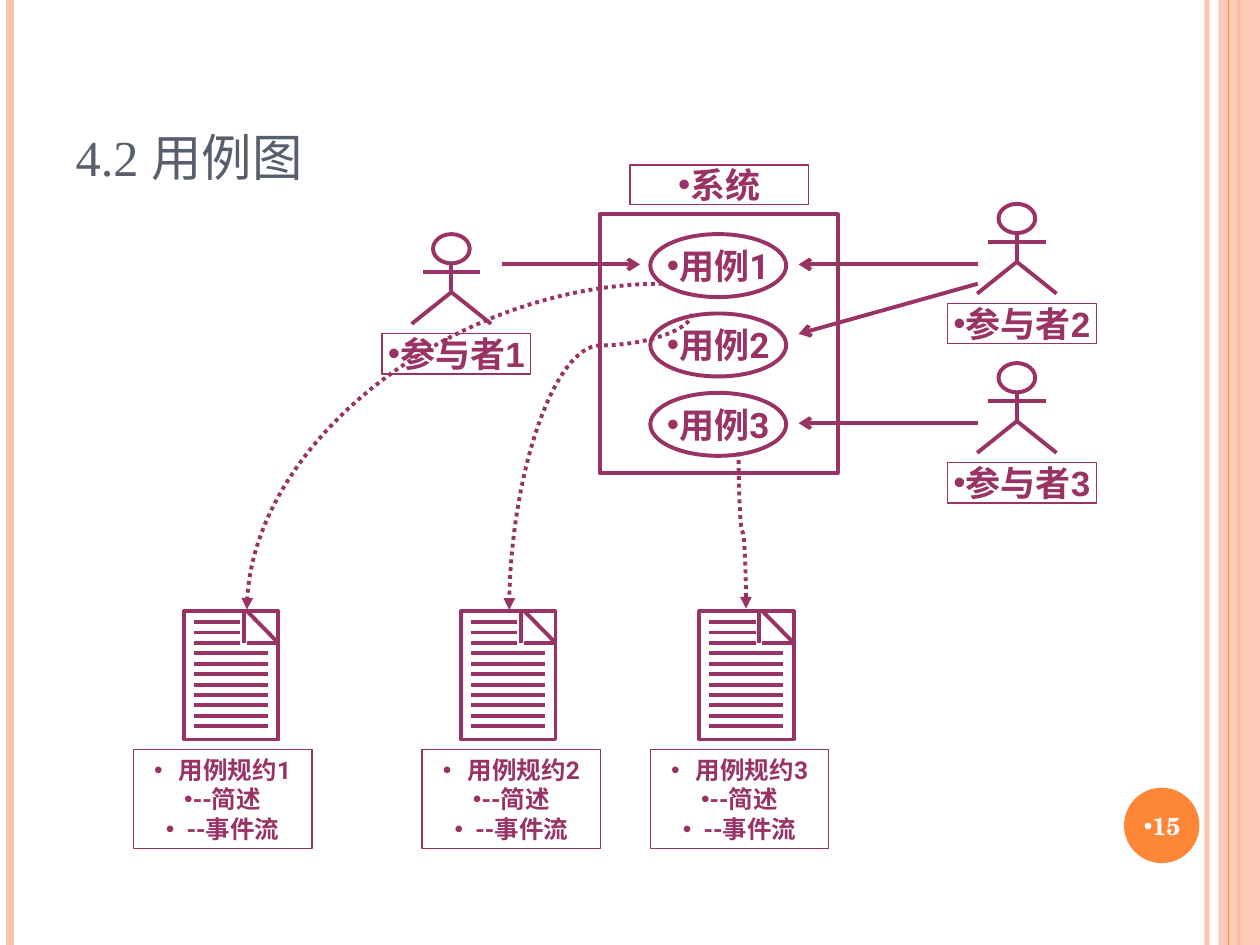
"""Build a use case diagram slide with actors, a system boundary and specifications."""
import pptx
import pptx.util
import pptx.dml.color
import pptx.enum.dml
import pptx.enum.shapes
import pptx.enum.text
import pptx.oxml.ns
import lxml.etree

Cm = pptx.util.Cm
Pt = pptx.util.Pt
qn = pptx.oxml.ns.qn
rgb = pptx.dml.color.RGBColor.from_string
SHAPE = pptx.enum.shapes.MSO_SHAPE
CONN = pptx.enum.shapes.MSO_CONNECTOR
ALIGN = pptx.enum.text.PP_ALIGN
ANCHOR = pptx.enum.text.MSO_ANCHOR
PLUM, PEACH, ORANGE = "993366", "FEC3AE", "FE8637"


def line(shapes, x1, y1, x2, y2, color=PLUM, width=2.25, tail=None, kind=CONN.STRAIGHT, dash=None):
    sp = shapes.add_connector(kind, Cm(x1), Cm(y1), Cm(x2), Cm(y2))
    sp.line.color.rgb = rgb(color)
    sp.line.width = Pt(width)
    if dash:
        sp.line.dash_style = dash
    if tail:
        lxml.etree.SubElement(sp.line._get_or_add_ln(), qn("a:tailEnd")).set("type", tail)
    lxml.etree.SubElement(sp._element.spPr, qn("a:effectLst"))
    return sp


def box(shapes, kind, x, y, w, h, texts=(), size=20, font="Roboto", color=PLUM, width=2.25, fill=None):
    sp = shapes.add_shape(kind, Cm(x), Cm(y), Cm(w), Cm(h))
    sp.shadow.inherit = False
    if fill:
        sp.fill.solid()
        sp.fill.fore_color.rgb = rgb(fill)
    else:
        sp.fill.background()
    if width:
        sp.line.color.rgb = rgb(PLUM)
        sp.line.width = Pt(width)
    else:
        sp.line.fill.background()
    tf = sp.text_frame
    fmt = {"word_wrap": False, "vertical_anchor": ANCHOR.MIDDLE, "margin_left": 0,
           "margin_right": 0, "margin_top": 0, "margin_bottom": 0}
    for k, v in fmt.items():
        setattr(tf, k, v)
    for i, (text, indent) in enumerate(texts):
        p = tf.add_paragraph() if i else tf.paragraphs[0]
        p.alignment = ALIGN.CENTER
        pPr = p._p.get_or_add_pPr()
        pPr.set("marL", str(Cm(indent)))
        pPr.set("indent", str(-Cm(indent)))
        lxml.etree.SubElement(pPr, qn("a:buFont")).set("typeface", "Arial")
        lxml.etree.SubElement(pPr, qn("a:buChar")).set("char", "•")
        r = p.add_run()
        r.text = text
        for k, v in {"size": Pt(size), "name": font, "bold": True}.items():
            setattr(r.font, k, v)
        r.font.color.rgb = rgb(color)
        lxml.etree.SubElement(r._r.get_or_add_rPr(), qn("a:ea")).set("typeface", font)
    return sp


prs = pptx.Presentation()
prs.slide_width, prs.slide_height = Cm(25.4), Cm(19.05)
s = prs.slides.add_slide(prs.slide_layouts[5])

edge = line(s.shapes, 24.33, 0, 24.33, 19.05, PEACH, 3)
line(s.shapes, 0.2, 0, 0.2, 19.05, PEACH, 4.5)
line(s.shapes, 24.97, 0, 24.97, 19.05, ORANGE, 1.5)
band = box(s.shapes, SHAPE.RECTANGLE, 24.56, 0, 0.84, 19.05, width=0, fill=PEACH)
line(s.shapes, 24.77, 0, 24.77, 19.05, ORANGE, 0.75)
for sp, alpha in ((edge, 93000), (band, 87000)):
    clr = next(sp._element.spPr.iter(qn("a:srgbClr")))
    lxml.etree.SubElement(clr, qn("a:alpha")).set("val", str(alpha))
box(s.shapes, SHAPE.OVAL, 22.66, 15.88, 1.52, 1.52, width=0, fill=ORANGE)
box(s.shapes, SHAPE.RECTANGLE, 22.58, 15.93, 1.7, 1.45, [("15", 0)], 14,
    "TeX Gyre Schola", "FFFFFF", width=0)

sp = s.shapes.title
for k, v in {"left": 1.27, "top": 0.76, "width": 20.75, "height": 3.18}.items():
    setattr(sp, k, Cm(v))
tf = sp.text_frame
tf.auto_size = pptx.enum.text.MSO_AUTO_SIZE.NONE
tf.vertical_anchor = ANCHOR.BOTTOM
p = tf.paragraphs[0]
p.alignment = ALIGN.LEFT
r = p.add_run()
r.text = "4.2 用例图"
for k, v in {"size": Pt(36), "name": "Times New Roman"}.items():
    setattr(r.font, k, v)
r.font.color.rgb = rgb("575F6D")
r._r.get_or_add_rPr().set("cap", "small")

box(s.shapes, SHAPE.RECTANGLE, 12.09, 4.32, 4.8, 5.21)
box(s.shapes, SHAPE.RECTANGLE, 12.7, 3.33, 3.6, 0.79, [("系统", 0)], font="Arial", width=0.75)
for i in range(3):
    box(s.shapes, SHAPE.OVAL, 13.11, 4.72 + 1.6 * i, 2.74, 1.27, [(f"用例{i + 1}", 0)])

for n, (x, y) in enumerate(((9.1, 4.72), (20.5, 4.11), (20.5, 7.32)), 1):
    actor = s.shapes.add_group_shape().shapes
    box(actor, SHAPE.OVAL, x - 0.37, y, 0.74, 0.59)
    line(actor, x, y + 0.6, x, y + 1.17)
    line(actor, x - 0.58, y + 0.76, x + 0.58, y + 0.76)
    fb = actor.build_freeform(Cm(x - 0.8), Cm(y + 1.81))
    fb.add_line_segments([(Cm(x), Cm(y + 1.17)), (Cm(x + 0.8), Cm(y + 1.81))], close=False)
    legs = fb.convert_to_shape()
    legs.shadow.inherit = False
    legs.fill.background()
    legs.line.color.rgb = rgb(PLUM)
    legs.line.width = Pt(2.25)
    box(s.shapes, SHAPE.RECTANGLE, x - 1.4, y + 2.01, 3, 0.81, [(f"参与者{n}", 0)],
        font="Arial", width=0.75)

for ends in ((10.11, 5.33, 12.9, 5.33), (19.71, 5.33, 16.1, 5.33),
             (19.71, 5.72, 16.1, 6.73), (19.71, 8.53, 16.1, 8.53)):
    line(s.shapes, *ends, tail="arrow")

for n, (x, label_x) in enumerate(((3.71, 2.69), (9.3, 8.51), (14.1, 13.11)), 1):
    y = 12.32
    doc = s.shapes.add_group_shape().shapes
    box(doc, SHAPE.RECTANGLE, x, y, 1.9, 2.59)
    line(doc, x + 1.27, y, x + 1.9, y + 0.64)
    line(doc, x + 1.2, y, x + 1.2, y + 0.64)
    line(doc, x + 1.9, y + 0.64, x + 1.27, y + 0.64)
    for i in range(11):
        row = y + 0.22 + 0.21 * i
        line(doc, x + 0.2, row, x + (1.13 if i < 3 else 1.69), row)
    box(s.shapes, SHAPE.RECTANGLE, label_x, 15.11, 3.6, 2,
        [(f"用例规约{n}", 0.5), ("--简述", 0), ("--事件流", 0.42)], 14, width=0.75)

curves = (
    ("curvedConnector2", (13.36, 5.72, 4.98, 12.29), 0, None),
    ("curvedConnector3", (9.12, 7.47, 15.09, 11.15), 90, 10700),
    ("curvedConnector3", (16.54, 10.62, 13.39, 10.77), 270, 50600),
)
for prst, ends, angle, adj in curves:
    sp = line(s.shapes, *ends, tail="triangle", kind=CONN.CURVE,
              dash=pptx.enum.dml.MSO_LINE.ROUND_DOT)
    spPr = sp._element.spPr
    spPr.find(qn("a:xfrm")).set("rot", str(angle * 60000))
    geom = spPr.find(qn("a:prstGeom"))
    geom.set("prst", prst)
    if adj:
        gd = lxml.etree.SubElement(geom.find(qn("a:avLst")), qn("a:gd"))
        gd.set("name", "adj1")
        gd.set("fmla", f"val {adj}")

prs.save("out.pptx")
